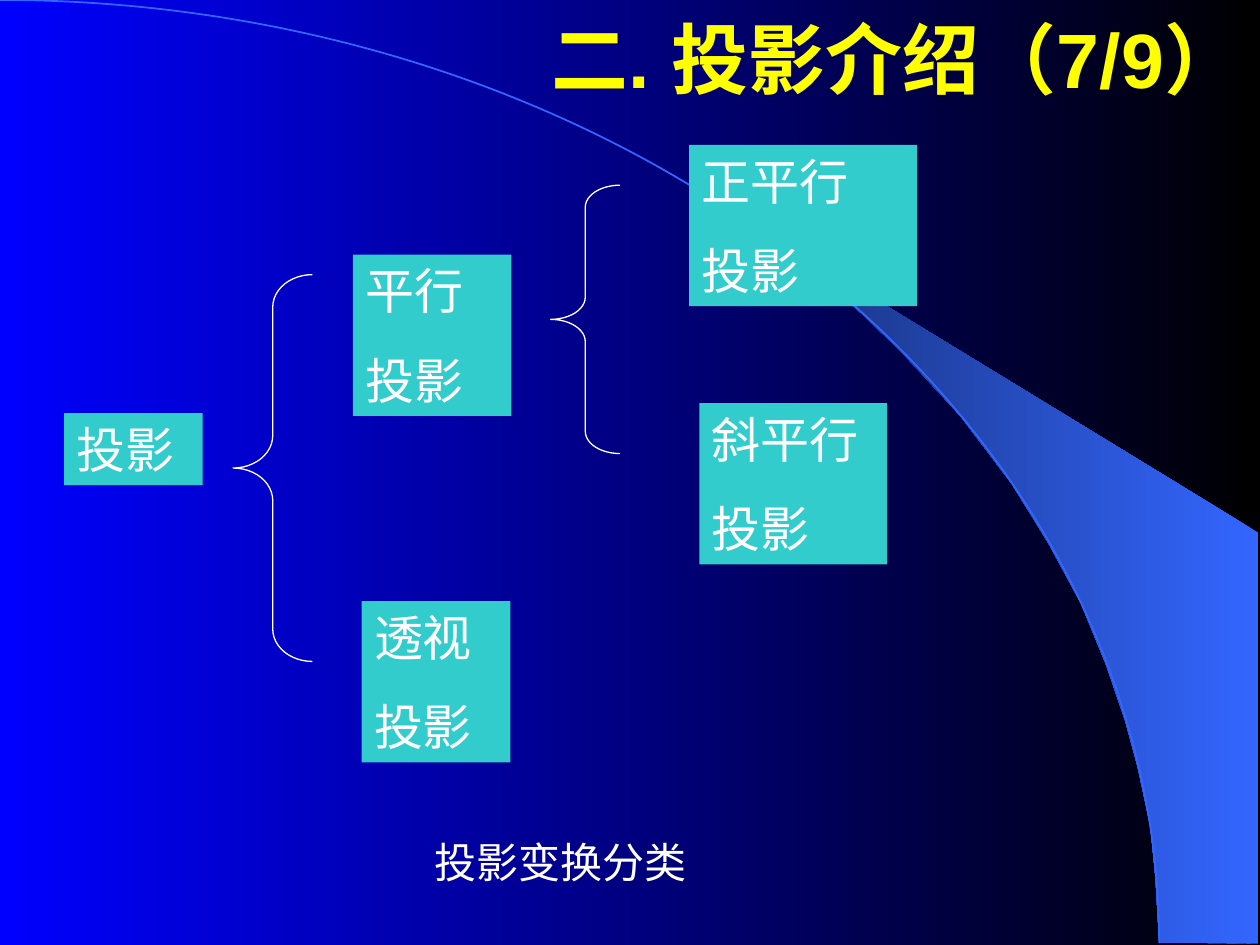
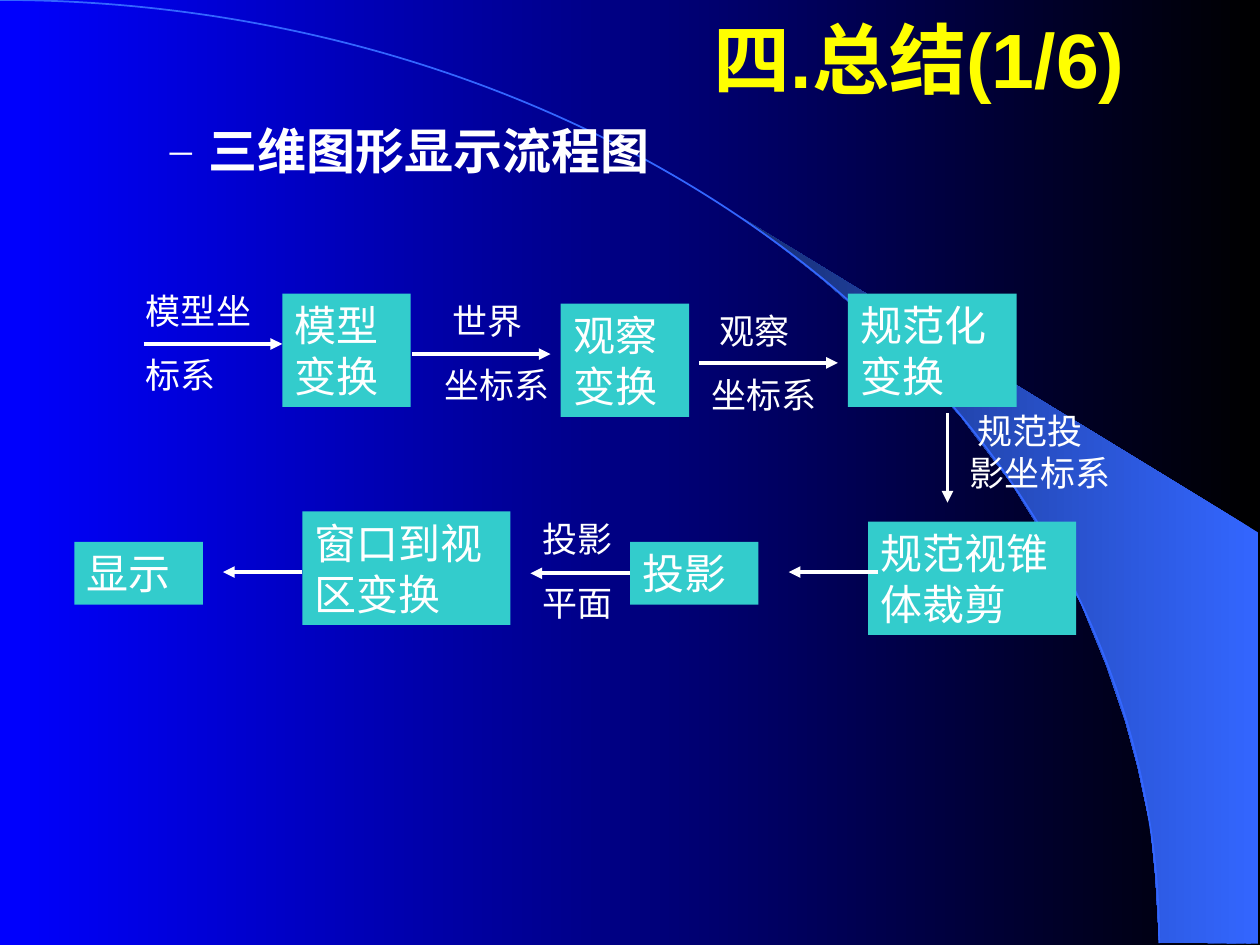
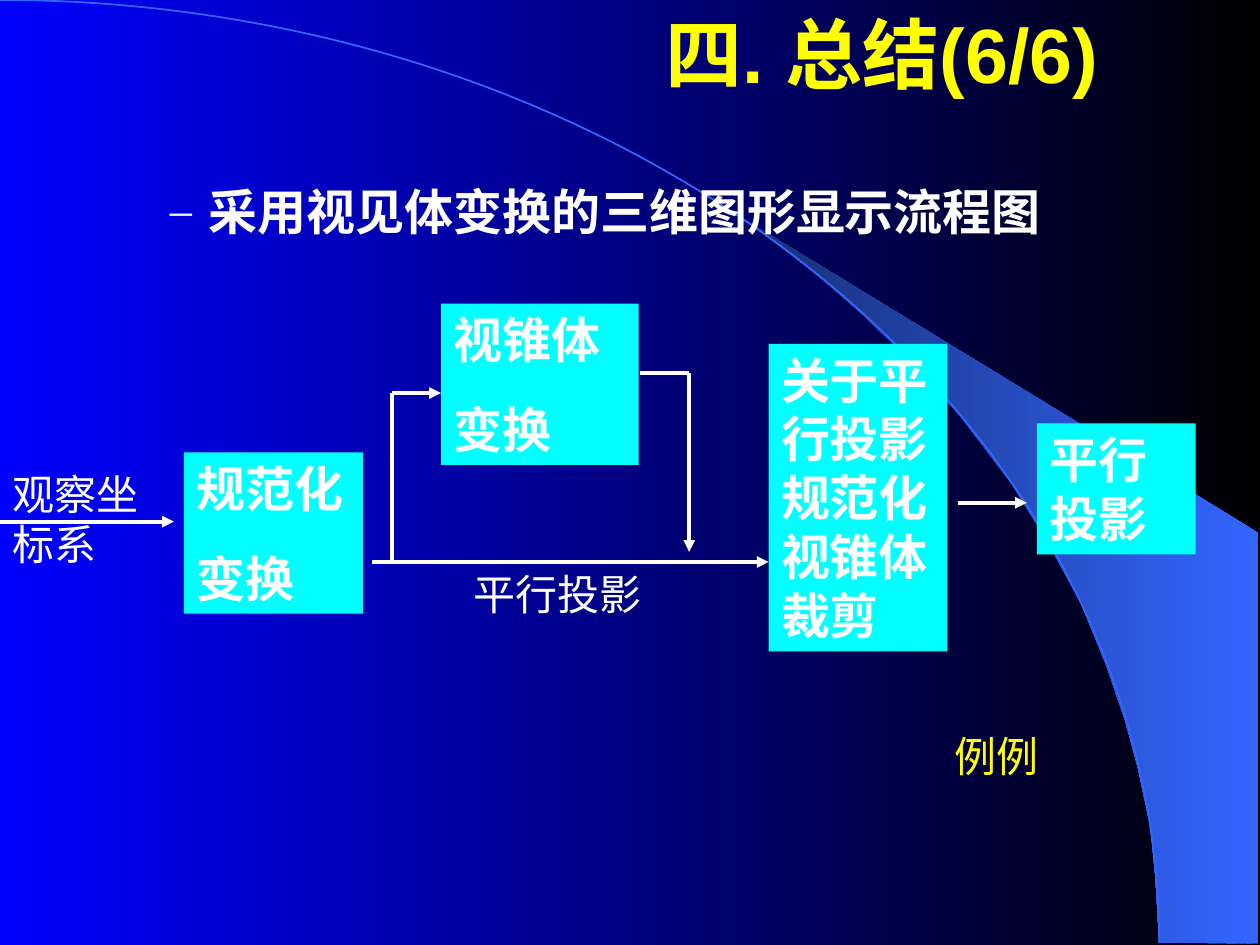
from lxml import etree
from pptx import Presentation
from pptx.dml.color import RGBColor
from pptx.enum import shapes, text
from pptx.oxml.ns import qn
from pptx.util import Inches, Pt

BLACK = RGBColor(0x00, 0x00, 0x00)
BLUE = RGBColor(0x00, 0x00, 0xFF)
GLOW = RGBColor(0x33, 0x66, 0xFF)
DEEP = RGBColor(0x17, 0x2F, 0x75)
WHITE = RGBColor(0xFF, 0xFF, 0xFF)
YELLOW = RGBColor(0xFF, 0xFF, 0x00)
TEAL = RGBColor(0x33, 0xCC, 0xCC)
CYAN = RGBColor(0x00, 0xFF, 0xFF)
TITLE_FONT = "Arial"
BODY_FONT = "Times New Roman"

BEAM = [(9.2, 7.48), (9.99, 7.49), (9.99, 4.23), (5.89, 1.73), (6.24, 1.99),
        (6.53, 2.22), (6.85, 2.5), (7.16, 2.8), (7.62, 3.3), (8.03, 3.84),
        (8.32, 4.31), (8.58, 4.79), (8.78, 5.28), (8.93, 5.72), (9.03, 6.09),
        (9.13, 6.56), (9.17, 6.96)]


def inches(*lengths):
    return [Inches(length) for length in lengths]


def fill_gradient(fill, right, left):
    fill.gradient()
    fill.gradient_angle = 180
    for stop, color in zip(fill.gradient_stops, (right, left)):
        stop.color.rgb = color


def dress_master(prs, slide):
    """Give the master its background, light beam and horizon arc."""
    master = prs.slide_master
    fill_gradient(master.background.fill, BLACK, BLUE)

    points = [inches(*point) for point in BEAM]
    outline = slide.shapes.build_freeform(*points[0], scale=1.0)
    outline.add_line_segments(points[1:], close=True)
    beam = outline.convert_to_shape()
    fill_gradient(beam.fill, GLOW, DEEP)
    beam.line.fill.background()

    horizon = slide.shapes.add_shape(shapes.MSO_SHAPE.ARC, *inches(-9.2, 0, 18.4, 14.97))
    horizon.fill.background()
    horizon.line.color.rgb = GLOW
    horizon.line.width = Pt(1)

    for index, decor in enumerate((beam, horizon)):
        decor.shadow.inherit = False
        decor.element.nvSpPr.cNvPr.set("id", str(101 + index))
        master.element.cSld.spTree.insert(2 + index, decor.element)


def add_run(paragraph, words, size, color=WHITE, bold=False, font=BODY_FONT):
    run = paragraph.add_run()
    run.text = words
    run.font.name = font
    run.font.size = Pt(size)
    run.font.bold = bold
    run.font.color.rgb = color


def set_title(slide, words, left, width, height, indent):
    """Centre the title in what is left of its box after the indent."""
    title = slide.shapes.title
    title.left, title.top, title.width, title.height = inches(left, 0, width, height)
    title.text_frame.vertical_anchor = text.MSO_ANCHOR.MIDDLE
    paragraph = title.text_frame.paragraphs[0]
    paragraph.alignment = text.PP_ALIGN.CENTER
    paragraph._p.get_or_add_pPr().set("marL", str(Inches(indent)))
    add_run(paragraph, words, 44, YELLOW, True, TITLE_FONT)


def write_lines(shape, lines, size, color=WHITE, bold=False):
    frame = shape.text_frame
    frame.word_wrap = True
    frame.vertical_anchor = text.MSO_ANCHOR.TOP
    for index, words in enumerate(lines):
        paragraph = frame.add_paragraph() if index else frame.paragraphs[0]
        paragraph.alignment = text.PP_ALIGN.LEFT
        if index:
            paragraph.space_before = Pt(size * 0.625)
        add_run(paragraph, words, size, color, bold)


def add_label(slide, place, lines, size, color=WHITE):
    write_lines(slide.shapes.add_textbox(*inches(*place)), lines, size, color)


def add_box(slide, place, lines, size, color=TEAL, bold=False):
    box = slide.shapes.add_shape(shapes.MSO_SHAPE.RECTANGLE, *inches(*place))
    box.shadow.inherit = False
    box.fill.solid()
    box.fill.fore_color.rgb = color
    box.line.fill.background()
    write_lines(box, lines, size, bold=bold)
    return box


def add_brace(slide, place, curl):
    brace = slide.shapes.add_shape(shapes.MSO_SHAPE.LEFT_BRACE, *inches(*place))
    brace.shadow.inherit = False
    brace.adjustments[0] = curl
    brace.fill.background()
    brace.line.color.rgb = WHITE
    brace.line.width = Pt(0.75)


def add_arrow(slide, *points):
    """Run straight lines through the points, with a head on the last one."""
    for start, end in zip(points, points[1:]):
        line = slide.shapes.add_connector(
            shapes.MSO_CONNECTOR.STRAIGHT, *inches(*start, *end))
        line.line.color.rgb = WHITE
        line.line.width = Pt(2.25)
        properties = line.element.spPr
        etree.SubElement(properties, qn("a:effectLst"))
    etree.SubElement(properties.find(qn("a:ln")), qn("a:tailEnd"), type="triangle")
    return line


def add_subheading(slide, top, words):
    heading = slide.shapes.add_textbox(*inches(0.75, top, 8.5, 0.57))
    heading.text_frame.word_wrap = True
    paragraph = heading.text_frame.paragraphs[0]
    properties = paragraph._p.get_or_add_pPr()
    properties.set("marL", str(Inches(0.81)))
    properties.set("indent", str(Inches(-0.31)))
    bullet_color = etree.SubElement(properties, qn("a:buClr"))
    etree.SubElement(bullet_color, qn("a:srgbClr"), val=str(WHITE))
    etree.SubElement(properties, qn("a:buSzPct"), val="90000")
    etree.SubElement(properties, qn("a:buFont"), typeface=BODY_FONT)
    etree.SubElement(properties, qn("a:buChar"), char="–")
    add_run(paragraph, words, 28, bold=True)


def build_classification(slide):
    set_title(slide, "二. 投影介绍（7/9）", 1.93, 8.5, 0.92, 1.87)
    add_label(slide, (3.35, 6.59, 2.76, 0.5), ["投影变换分类"], 24)
    add_box(slide, (0.51, 3.28, 1.1, 0.57), ["投影"], 28)
    for left, top, width, kind in [(2.8, 2.02, 1.26, "平行"),
                                   (2.87, 4.77, 1.18, "透视"),
                                   (5.47, 1.15, 1.81, "正平行"),
                                   (5.55, 3.2, 1.49, "斜平行")]:
        add_box(slide, (left, top, width, 1.28), [kind, "投影"], 28)
    add_brace(slide, (1.85, 2.18, 0.63, 3.07), 0.41)
    add_brace(slide, (4.37, 1.47, 0.55, 2.13), 0.32)


def build_pipeline(slide):
    set_title(slide, "四.总结(1/6)", 0.75, 8.5, 0.92, 4.59)
    add_subheading(slide, 0.91, "三维图形显示流程图")

    for left, top, width, step in [(2.24, 2.33, 1.02, "模型变换"),
                                   (4.45, 2.41, 1.02, "观察变换"),
                                   (6.73, 2.33, 1.34, "规范化变换"),
                                   (6.89, 4.14, 1.65, "规范视锥体裁剪"),
                                   (2.4, 4.06, 1.65, "窗口到视区变换")]:
        add_box(slide, (left, top, width, 0.9), [step], 24)
    projection = add_box(slide, (5, 4.3, 1.02, 0.5), ["投影"], 24)
    add_box(slide, (0.59, 4.3, 1.02, 0.5), ["显示"], 24)

    for left, top, lines in [(1.06, 2.25, ["模型坐", "标系"]),
                             (3.43, 2.33, [" 世界", "坐标系"]),
                             (5.55, 2.41, [" 观察", "坐标系"]),
                             (4.21, 4.06, ["投影", "平面"])]:
        add_label(slide, (left, top, 1.18, 0.94), lines, 20)
    add_label(slide, (7.6, 3.2, 1.34, 0.77), [" 规范投影坐标系"], 20)

    for left, level in [(1.14, 2.73), (3.27, 2.81), (5.55, 2.88)]:
        add_arrow(slide, (left, level), (left + 1.1, level))
    add_arrow(slide, (7.52, 3.28), (7.52, 3.99))
    add_arrow(slide, (6.97, 4.54), (6.26, 4.54))
    add_arrow(slide, (5, 4.55), (4.21, 4.55)).begin_connect(projection, 1)
    add_arrow(slide, (2.4, 4.54), (1.77, 4.54))


def build_view_volume(slide):
    set_title(slide, "四. 总结(6/6)", 1.22, 8.5, 0.83, 3.06)
    add_subheading(slide, 1.39, "采用视见体变换的三维图形显示流程图")

    for place, lines in [((1.46, 3.59, 1.42, 1.28), ["规范化", "变换"]),
                         ((3.5, 2.41, 1.57, 1.28), ["视锥体", "变换"]),
                         ((6.1, 2.73, 1.42, 2.44), ["关于平行投影规范化视锥体裁剪"]),
                         ((8.23, 3.36, 1.26, 1.04), ["平行投影"])]:
        add_box(slide, place, lines, 28, CYAN, bold=True)

    add_label(slide, (0, 3.67, 1.22, 0.9), ["观察坐标系"], 24)
    add_label(slide, (3.66, 4.46, 1.73, 0.5), ["平行投影"], 24)
    add_label(slide, (7.48, 5.75, 1.1, 0.5), ["例例"], 24, YELLOW)

    add_arrow(slide, (0, 4.14), (1.38, 4.14))
    add_arrow(slide, (2.95, 4.46), (6.1, 4.46))
    add_arrow(slide, (3.11, 4.46), (3.11, 3.12), (3.5, 3.12))
    add_arrow(slide, (5.08, 2.96), (5.47, 2.96), (5.47, 4.38))
    add_arrow(slide, (7.6, 3.99), (8.15, 3.99))


def main():
    prs = Presentation()
    prs.slide_width, prs.slide_height = inches(10, 7.5)
    title_only = prs.slide_layouts[5]
    builders = (build_classification, build_pipeline, build_view_volume)
    slides = [prs.slides.add_slide(title_only) for _ in builders]
    dress_master(prs, slides[0])
    for build, slide in zip(builders, slides):
        build(slide)
    prs.save("out.pptx")


if __name__ == "__main__":
    main()
